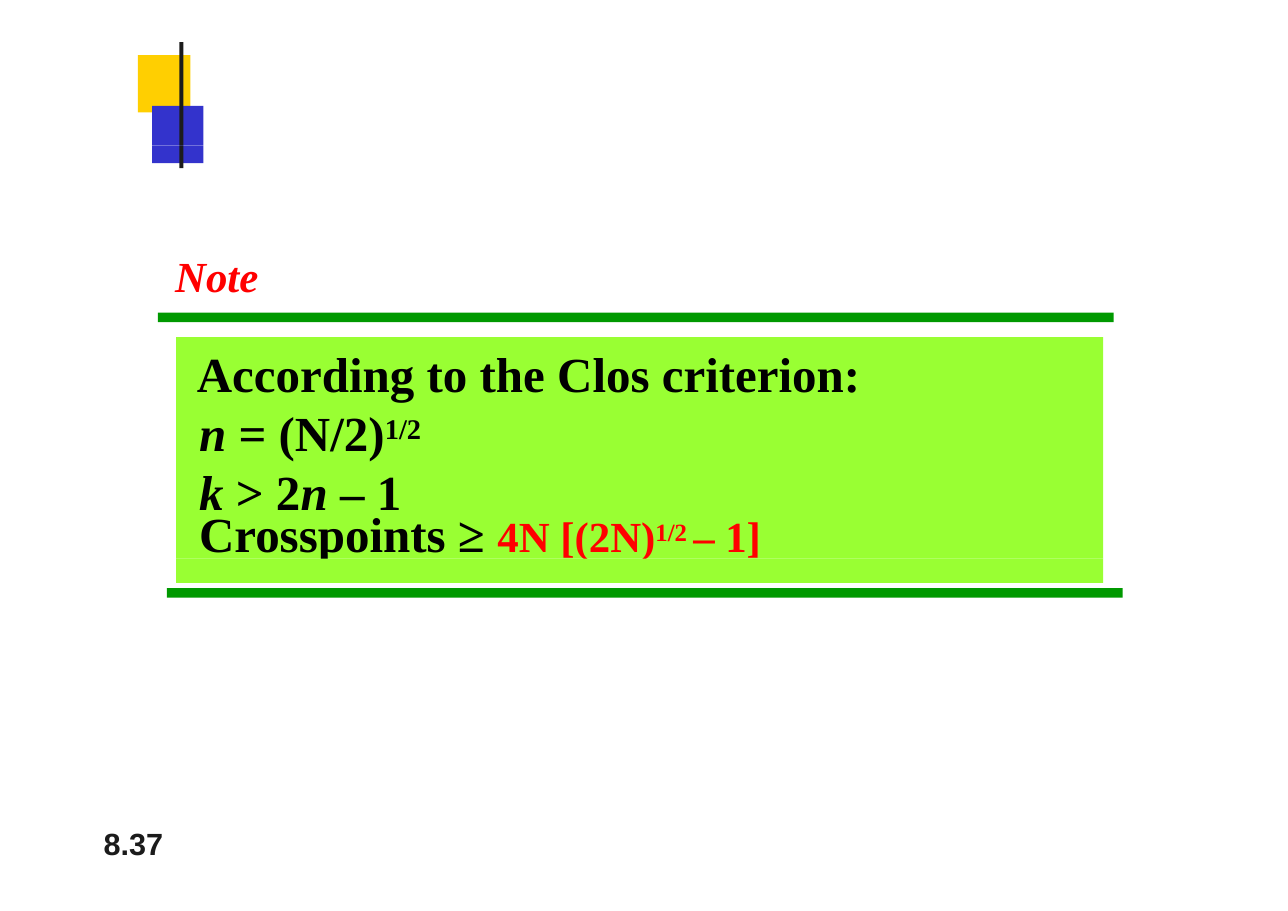
from pptx import Presentation
from pptx import util as u
from pptx.dml import color
from pptx.enum import shapes, text
from pptx.oxml import xmlchemy as xml
from pptx.oxml import parse_xml
from pptx.oxml.ns import nsdecls

THEME = {
    "yellow": "FFCF01", "blue": "3333CC", "bar": "1C1C1C",
    "rule": "009900", "panel": "99FF33",
    "ink": "000000", "accent": "FF0000", "page": "1B1B1B",
    "serif": "Times New Roman", "sans": "Arial",
    "body": 32, "note": 28, "number": 20,
}


def add_run(paragraph, words, size, ink, face="serif", italic=False, raised=0):
    run = paragraph.add_run()
    run.text = words
    look = {"name": THEME[face], "size": u.Pt(THEME[size]), "bold": True, "italic": italic}
    for key, value in look.items():
        setattr(run.font, key, value)
    run.font.color.rgb = color.RGBColor.from_string(THEME[ink])
    if raised:
        run.font._element.set("baseline", str(raised * 1000))


def set_frame(holder, box, top_inset=0, wrap=True):
    for key, value in zip(("left", "top", "width", "height"), box):
        setattr(holder, key, u.Cm(value))
    layout = {
        "margin_left": 0, "margin_right": 0, "margin_bottom": 0,
        "margin_top": u.Cm(top_inset), "word_wrap": wrap,
        "auto_size": text.MSO_AUTO_SIZE.NONE, "vertical_anchor": text.MSO_ANCHOR.TOP,
    }
    for key, value in layout.items():
        setattr(holder.text_frame, key, value)


deck = Presentation()
deck.slide_width, deck.slide_height = u.Cm(29.7), u.Cm(21)
slide = deck.slides.add_slide(deck.slide_layouts[1])

blocks = [
    ("yellow", 3.18, 1.27, 1.21, 1.32),
    ("blue", 3.51, 2.44, 1.18, 0.91),
    ("bar", 4.14, 0.97, 0.09, 2.38),
    ("blue", 3.51, 3.35, 1.18, 0.41),
    ("bar", 4.14, 3.35, 0.09, 0.53),
    ("rule", 3.64, 7.21, 22.04, 0.22),
    ("rule", 3.85, 13.56, 22.04, 0.22),
    ("panel", 4.06, 12.88, 21.38, 0.56),
]
for fill, *box in blocks:
    block = slide.shapes.add_shape(shapes.MSO_SHAPE.RECTANGLE, *map(u.Cm, box))
    block.shadow.inherit = False
    block.fill.solid()
    block.fill.fore_color.rgb = color.RGBColor.from_string(THEME[fill])
    block.line.fill.background()

note = slide.shapes.title
set_frame(note, (4.04, 5.69, 2.2, 1.27), 0.06, False)
heading = note.text_frame.paragraphs[0]
heading.alignment = text.PP_ALIGN.LEFT
add_run(heading, "Note", "note", "accent", italic=True)

criterion = slide.placeholders[1]
set_frame(criterion, (4.06, 7.77, 21.38, 5.11), 0.16)
criterion.fill.solid()
criterion.fill.fore_color.rgb = color.RGBColor.from_string(THEME["panel"])

black = {"size": "body", "ink": "ink"}
slanted = {**black, "italic": True}
red = {"size": "note", "ink": "accent"}
statements = [
    (0.48, None, [("According to the Clos criterion:", black)]),
    (0.53, None, [("n ", slanted), ("= (N/2)", black), ("1/2", {**black, "raised": 25})]),
    (0.53, None, [("k ", slanted), ("> 2", black), ("n ", slanted), ("– 1", black)]),
    (0.53, u.Pt(27.2), [("Crosspoints ≥ ", black), ("4N [(2N)", red),
                        ("1/2 ", {**red, "raised": 26}), ("– 1]", red)]),
]
for index, (indent, spacing, pieces) in enumerate(statements):
    frame = criterion.text_frame
    line = frame.add_paragraph() if index else frame.paragraphs[0]
    properties = line._p.get_or_add_pPr()
    properties.set("marL", str(u.Cm(indent)))
    properties.set("indent", "0")
    properties.append(parse_xml(f"<a:buNone {nsdecls('a')}/>"))
    line.space_before = u.Pt(0)
    line.line_spacing = spacing
    for words, look in pieces:
        add_run(line, words, **look)

page = slide.shapes.add_textbox(0, 0, 0, 0)
set_frame(page, (2.39, 19.05, 1.6, 0.86))
number = page.text_frame.paragraphs[0]
number.line_spacing = u.Pt(23.1)
add_run(number, "8.37", "number", "page", "sans")

deck.save("out.pptx")
